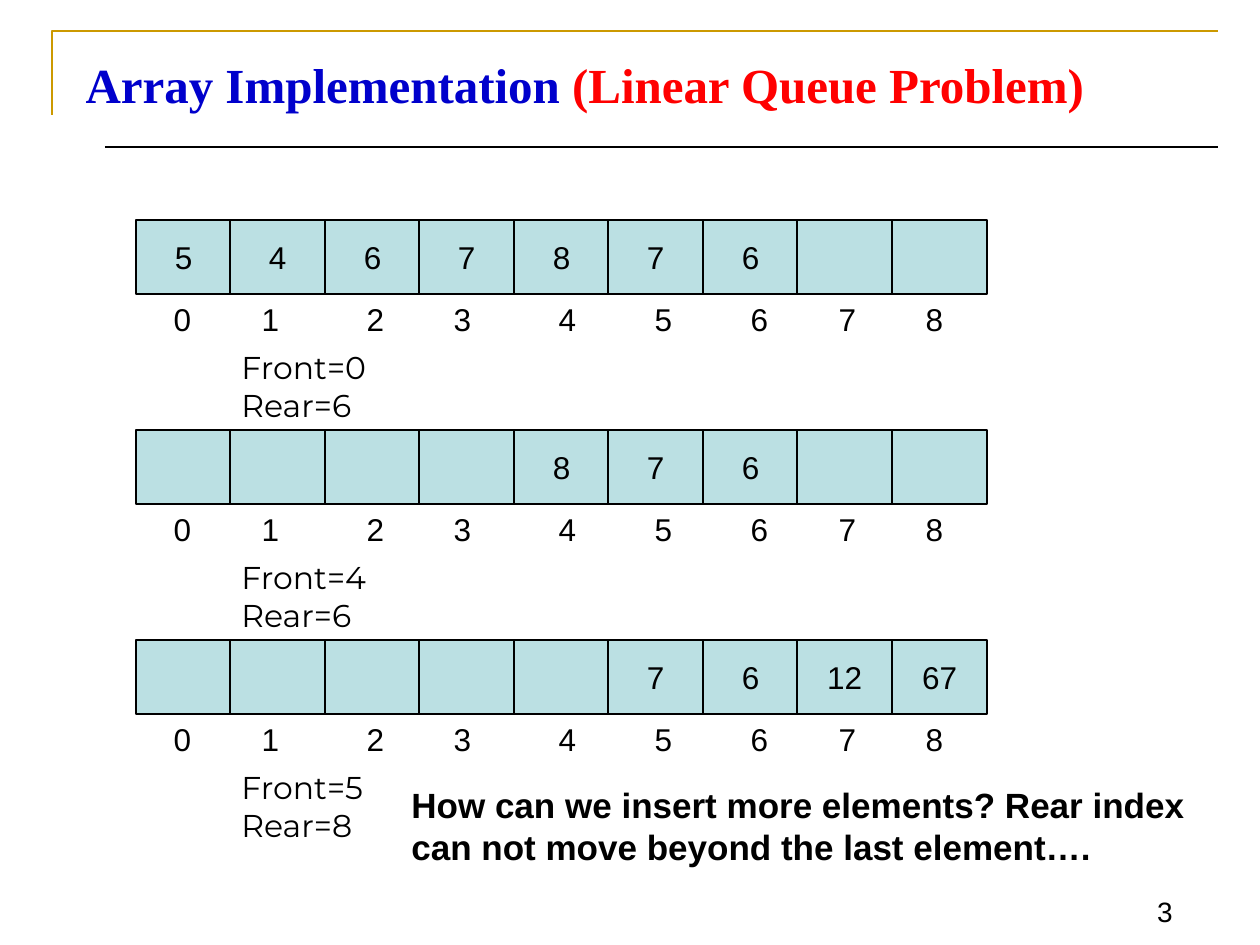
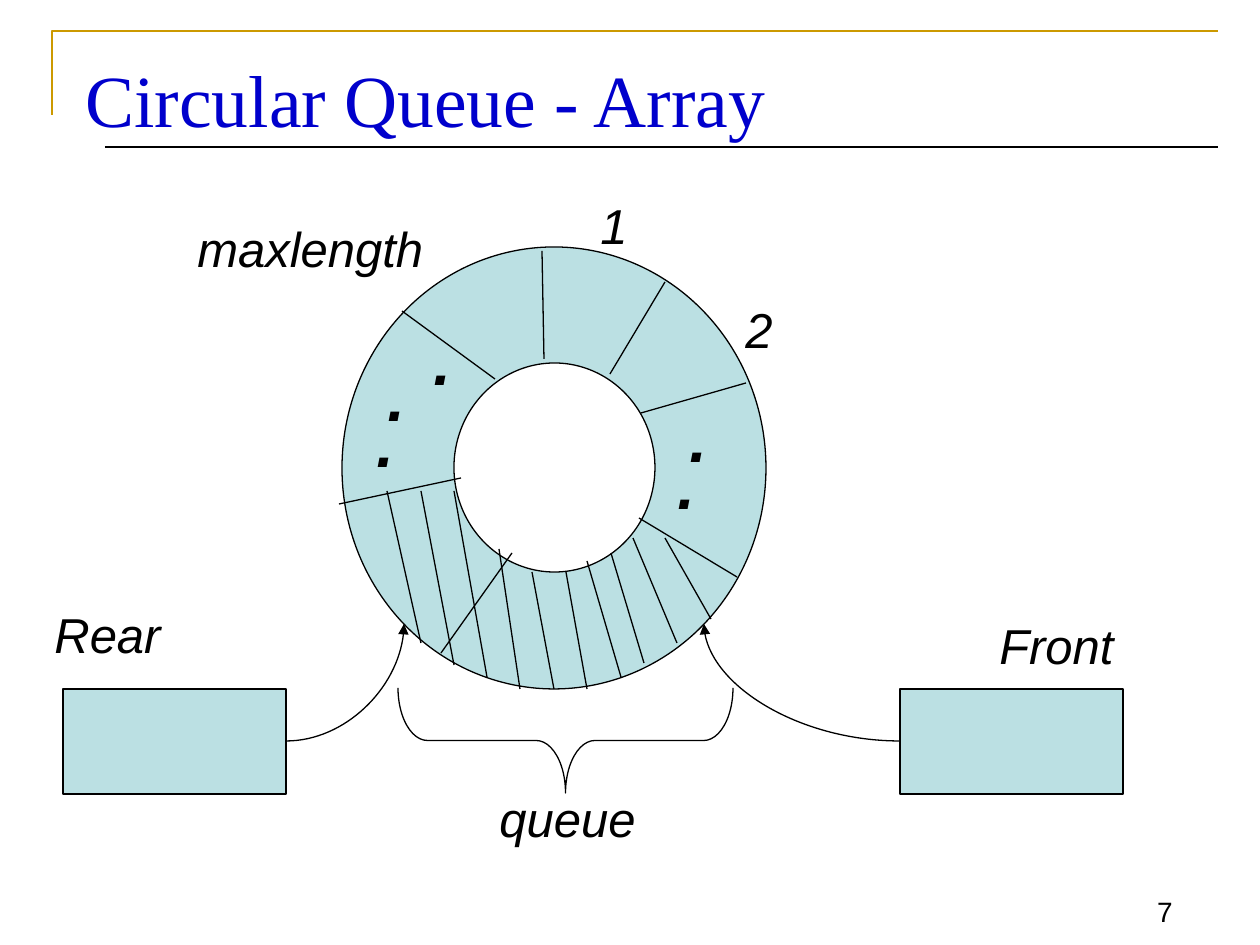
"""Two slides on linear and circular array queues."""
from dataclasses import dataclass

from lxml import etree
from pptx import Presentation
from pptx import util as u
from pptx.dml.color import RGBColor
from pptx.enum import shapes, text
from pptx.oxml import ns

SCALE = 914400 / 126  # EMU in one pixel


def px(n: float) -> u.Emu:
    """Turn pixels into EMU."""
    return u.Emu(round(n * SCALE))


def rgb(code: str) -> RGBColor:
    """Read a hex colour."""
    return RGBColor.from_string(code)


@dataclass(frozen=True)
class Theme:
    """Colours, fonts and type sizes of the deck."""
    ink: RGBColor = rgb("000000")
    paper: RGBColor = rgb("FFFFFF")
    fill: RGBColor = rgb("BBE0E3")
    gold: RGBColor = rgb("CC9900")
    blue: RGBColor = rgb("0000CC")
    red: RGBColor = rgb("FF0000")
    sans: str = "Arial"
    serif: str = "Times New Roman"
    round: str = "Montserrat"
    page: int = 16
    cell: int = 18
    note: int = 20
    label: int = 28
    dot: int = 36
    head: int = 28
    big: int = 42
    thin: float = 0.75
    band: float = 1.5


T = Theme()


@dataclass(frozen=True)
class Box:
    """A place on the slide, in pixels."""
    x: int
    y: int
    w: int
    h: int

    def emu(self) -> tuple:
        """Give left, top, width and height in EMU."""
        return px(self.x), px(self.y), px(self.w), px(self.h)


@dataclass(frozen=True)
class Style:
    """How a text looks."""
    size: int
    face: str = T.sans
    bold: bool = False
    slant: bool = False
    lead: bool = True  # half a line of space before
    align: text.PP_ALIGN = text.PP_ALIGN.LEFT


@dataclass(frozen=True)
class Stage:
    """One state of the linear queue."""
    cells: tuple
    front: int
    rear: int


CELL = Style(T.cell, lead=False, align=text.PP_ALIGN.CENTER)
INDEX = Style(T.cell)
STATE = Style(T.cell, T.round, lead=False)
NOTE = Style(T.note, bold=True)
LABEL = Style(T.label, slant=True)
DOT = Style(T.dot, bold=True, slant=True)
PAGE = Style(T.page, lead=False, align=text.PP_ALIGN.RIGHT)


def dress(para, style: Style) -> None:
    """Apply a style to a paragraph."""
    para.alignment = style.align
    if style.lead:
        gap = etree.Element(ns.qn("a:spcBef"))
        etree.SubElement(gap, ns.qn("a:spcPct"), val="50000")
        para._p.get_or_add_pPr().insert(0, gap)
    font = para.font
    font.name, font.size = style.face, u.Pt(style.size)
    font.bold, font.italic = style.bold, style.slant
    font.color.rgb = T.ink


def write(slide, box: Box, words: str, style: Style):
    """Add a wrapped text box, one paragraph a line."""
    frame = slide.shapes.add_textbox(*box.emu()).text_frame
    frame.word_wrap = True
    frame.text = words
    for para in frame.paragraphs:
        dress(para, style)
    return frame


def stroke(item, color: RGBColor = T.ink, width: float = T.thin) -> None:
    """Set the colour and width of a line."""
    item.line.color.rgb = color
    item.line.width = u.Pt(width)


def shape(slide, kind, box: Box, fill: RGBColor | None = T.fill):
    """Add an outlined preset shape without shadow."""
    item = slide.shapes.add_shape(kind, *box.emu())
    item.shadow.inherit = False
    if fill is None:
        item.fill.background()
    else:
        item.fill.solid()
        item.fill.fore_color.rgb = fill
    stroke(item)
    return item


def link(slide, ends: tuple, kind=shapes.MSO_CONNECTOR.STRAIGHT):
    """Add a thin connector from x1, y1 to x2, y2."""
    item = slide.shapes.add_connector(kind, *map(px, ends))
    stroke(item)
    etree.SubElement(item._element.spPr, ns.qn("a:effectLst"))
    return item


def arrow(slide, ends: tuple) -> None:
    """Add a quarter-turn curve with an arrowhead."""
    item = link(slide, ends, shapes.MSO_CONNECTOR.CURVE)
    props = item._element.spPr
    props.find(ns.qn("a:prstGeom")).set("prst", "curvedConnector2")
    etree.SubElement(props.find(ns.qn("a:ln")), ns.qn("a:tailEnd"),
                     type="triangle")


def page(deck, parts: tuple, size: int, bold: bool, number: int):
    """Start a slide with its bands, number and coloured title parts."""
    slide = deck.slides.add_slide(deck.slide_layouts[5])
    path = slide.shapes.build_freeform(52, 115, SCALE)
    path.add_line_segments([(52, 31), (1218, 31)], close=False)
    band = path.convert_to_shape()
    band.shadow.inherit = False
    band.fill.background()
    stroke(band, T.gold, T.band)
    link(slide, (105, 147, 1218, 147))
    foot = write(slide, Box(1102, 872, 83, 62), str(number), PAGE)
    foot.vertical_anchor = text.MSO_ANCHOR.BOTTOM

    title = slide.shapes.title
    title.left, title.top, title.width, title.height = Box(
        73, 42, 1144, 94).emu()
    frame = title.text_frame
    frame.auto_size = text.MSO_AUTO_SIZE.NONE
    frame.vertical_anchor = text.MSO_ANCHOR.TOP
    frame.margin_top, frame.margin_bottom = px(12), 0
    para = frame.paragraphs[0]
    dress(para, Style(size, T.serif, bold, lead=False))
    for words, color in parts:
        run = para.add_run()
        run.text = words
        run.font.color.rgb = color
    return slide


TABS = (34, 122, 227, 314, 419, 515, 611, 699, 786)


def queue(slide, top: int, stage: Stage) -> None:
    """Draw one array with its indices, front and rear."""
    for i, value in enumerate(stage.cells):
        left = 136 + i * 189 // 2
        item = shape(slide, shapes.MSO_SHAPE.RECTANGLE,
                     Box(left, top, 95, 74))
        if value:
            frame = item.text_frame
            frame.word_wrap = False
            frame.vertical_anchor = text.MSO_ANCHOR.MIDDLE
            frame.text = value
            dress(frame.paragraphs[0], CELL)
    marks = "".join(f"\t{i}" for i in range(len(TABS)))
    para = write(slide, Box(136, top + 74, 851, 50), marks,
                 INDEX).paragraphs[0]
    stops = etree.Element(ns.qn("a:tabLst"))
    for stop in TABS:
        etree.SubElement(stops, ns.qn("a:tab"), pos=str(px(stop)), algn="ctr")
    para._p.pPr.find(ns.qn("a:defRPr")).addprevious(stops)
    write(slide, Box(229, top + 122, 180, 88),
          f"Front={stage.front}\nRear={stage.rear}", STATE)


STAGES = (
    Stage(("5", "4", "6", "7", "8", "7", "6", "", ""), 0, 6),
    Stage(("", "", "", "", "8", "7", "6", "", ""), 4, 6),
    Stage(("", "", "", "", "", "7", "6", "12", "67"), 5, 8),
)
SPOKES = (
    (665, 282, 610, 374), (461, 478, 339, 504), (746, 383, 641, 413),
    (512, 553, 441, 653), (542, 251, 544, 359), (639, 518, 737, 577),
    (402, 311, 495, 379),
)
HATCH = (
    (387, 491, 421, 643), (421, 491, 454, 665), (454, 491, 487, 677),
    (499, 549, 520, 689), (532, 572, 554, 689), (566, 572, 587, 689),
    (587, 561, 621, 677), (611, 553, 644, 663), (633, 538, 677, 643),
    (665, 538, 711, 619),
)
NAMES = (
    ("1", Box(588, 189, 73, 72)), ("2", Box(733, 293, 90, 79)),
    ("maxlength", Box(185, 212, 290, 79)), ("Rear", Box(42, 598, 273, 72)),
    ("Front", Box(987, 609, 199, 72)), ("queue", Box(487, 782, 235, 79)),
)
DOTS = ((364, 398), (375, 352), (421, 316), (665, 440), (677, 393))


def linear(deck) -> None:
    """Build the linear queue slide."""
    slide = page(deck, (("Array Implementation ", T.blue),
                        ("(Linear Queue Problem)", T.red)), T.head, True, 3)
    for i, stage in enumerate(STAGES):
        queue(slide, 220 + 210 * i, stage)
    write(slide, Box(399, 777, 819, 97),
          "How can we insert more elements? Rear index can not move "
          "beyond the last element\u2026.", NOTE)


def ring(deck) -> None:
    """Build the circular queue slide."""
    slide = page(deck, (("Circular Queue - Array", T.blue),), T.big, False, 7)
    kind = shapes.MSO_SHAPE
    shape(slide, kind.OVAL, Box(342, 247, 424, 442))
    shape(slide, kind.OVAL, Box(454, 363, 201, 209), T.paper)
    for ends in SPOKES + HATCH:
        link(slide, ends)
    for left in (63, 900):
        shape(slide, kind.RECTANGLE, Box(left, 689, 223, 105))
    arrow(slide, (286, 741, 404, 624))
    arrow(slide, (900, 741, 704, 624))
    brace = shape(slide, kind.RIGHT_BRACE, Box(513, 573, 105, 335), None)
    brace.rotation = 90
    brace.adjustments[0] = 0.28
    for words, box in NAMES:
        write(slide, box, words, LABEL)
    for x, y in DOTS:
        write(slide, Box(x, y, 34, 98), ".", DOT)


def main() -> None:
    """Build and save the deck."""
    deck = Presentation()
    deck.slide_width, deck.slide_height = px(1260), px(945)
    linear(deck)
    ring(deck)
    deck.save("out.pptx")


main()
